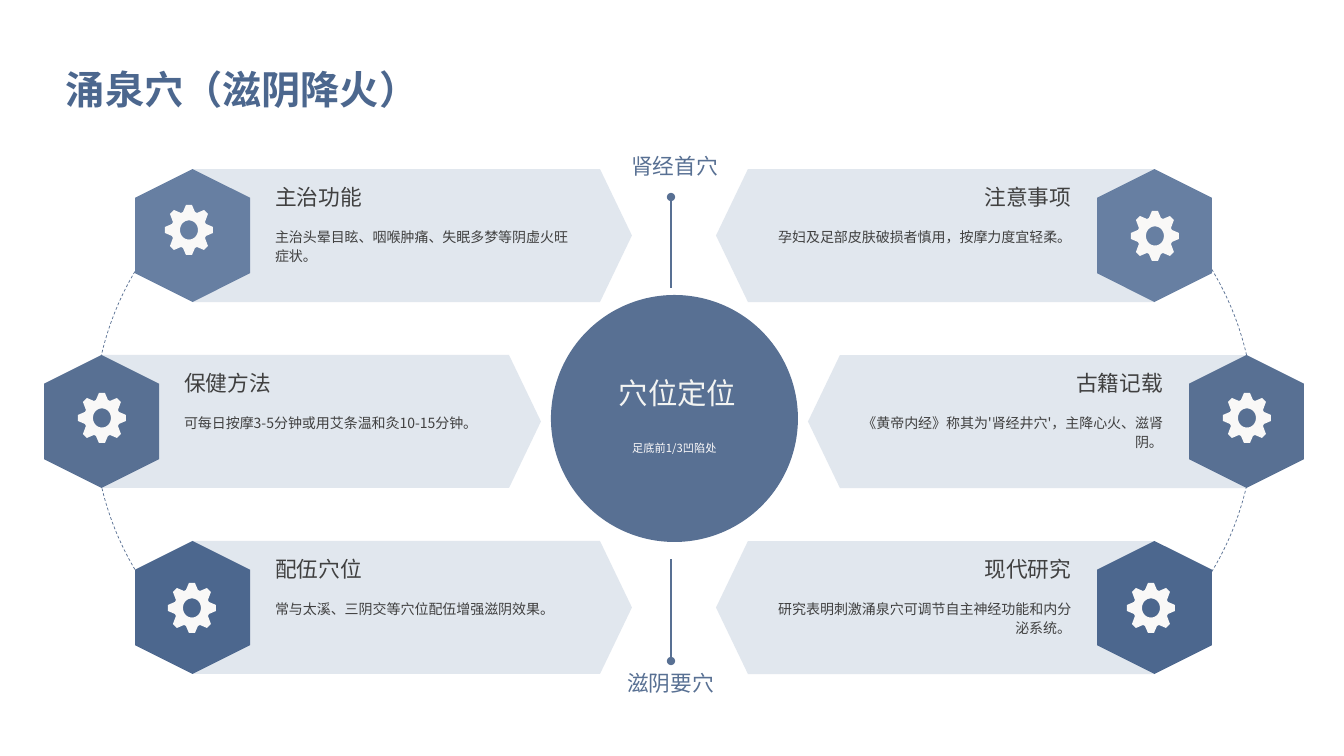
import math

import lxml.etree
import pptx
import pptx.dml.color
import pptx.enum.dml
import pptx.enum.shapes
import pptx.enum.text
import pptx.oxml.ns
import pptx.util

PX = 914400 / 100.8
FONT = "Noto Sans CJK SC"
SHAPE = pptx.enum.shapes.MSO_SHAPE
ALIGN = pptx.enum.text.PP_ALIGN
LEFT, CENTER, RIGHT = ALIGN.LEFT, ALIGN.CENTER, ALIGN.RIGHT
rgb = pptx.dml.color.RGBColor.from_string
qn = pptx.oxml.ns.qn

prs = pptx.Presentation()
prs.slide_width, prs.slide_height = round(1344 * PX), round(756 * PX)
s = prs.slides.add_slide(prs.slide_layouts[5])


def add_shape(kind, box, color):
    sp = s.shapes.add_shape(kind, *[round(v * PX) for v in box])
    sp.shadow.inherit = False
    sp.fill.solid()
    sp.fill.fore_color.rgb = rgb(color)
    sp.line.fill.background()
    return sp


def write(sp, box, text, size, color, align, spacing, bold=False, insets=(0, 0, 0, 0)):
    sp.left, sp.top, sp.width, sp.height = [round(v * PX) for v in box]
    tf = sp.text_frame
    tf.word_wrap = True
    tf.margin_left, tf.margin_top, tf.margin_right, tf.margin_bottom = [round(v * PX) for v in insets]
    p = tf.paragraphs[0]
    p.alignment, p.line_spacing = align, spacing
    r = p.add_run()
    r.text = text
    for name, value in {"size": pptx.util.Pt(size), "name": FONT, "bold": bold}.items():
        setattr(r.font, name, value)
    r.font.color.rgb = rgb(color)
    lxml.etree.SubElement(r.font._element, qn("a:ea")).set("typeface", FONT)
    return tf


tf = write(s.shapes.title, (52, 29, 1239, 101), "涌泉穴（滋阴降火）", 28, "4C678E", LEFT, 1.4,
           True, (14, 14, 6, 14))
tf.vertical_anchor = pptx.enum.text.MSO_ANCHOR.MIDDLE
tf.auto_size = pptx.enum.text.MSO_AUTO_SIZE.NONE

add_shape(SHAPE.OVAL, (551, 295, 247, 247), "587093")

for x, start, end in [(671, 188.42, 26.11), (94, 81.89, 135.58)]:
    sp = add_shape(SHAPE.ARC, (x, 129, 583, 583), "FFFFFF")
    sp.fill.background()
    sp.adjustments[0], sp.adjustments[1] = start, end
    sp.line.color.rgb = rgb("587093")
    sp.line.width = pptx.util.Pt(0.5)
    sp.line.dash_style = pptx.enum.dml.MSO_LINE.DASH

quarter = [(24, -3), (17, -6), (16, -8), (19, -16), (15, -20), (8, -17), (6, -18), (3, -25)]
upper = quarter + [(-x, y) for x, y in reversed(quarter)]
rim = upper + [(x, -y) for x, y in reversed(upper)]
turns = [math.tau * i / 32 for i in range(32)]
hole = [(9 * math.cos(a), 9.6 * math.sin(a)) for a in turns]

cards = [
    (0, LEFT, "主治功能", "主治头晕目眩、咽喉肿痛、失眠多梦等阴虚火旺症状。", 193, 303, (189, 230)),
    (0, RIGHT, "注意事项", "孕妇及足部皮肤破损者慎用，按摩力度宜轻柔。", 1155, 303, (1155, 236)),
    (1, LEFT, "保健方法", "可每日按摩3-5分钟或用艾条温和灸10-15分钟。", 102, 303, (102, 418)),
    (1, RIGHT, "古籍记载", "《黄帝内经》称其为'肾经井穴'，主降心火、滋肾阴。", 1247, 314, (1247, 418)),
    (2, LEFT, "配伍穴位", "常与太溪、三阴交等穴位配伍增强滋阴效果。", 193, 303, (192, 608)),
    (2, RIGHT, "现代研究", "研究表明刺激涌泉穴可调节自主神经功能和内分泌系统。", 1155, 303, (1151, 608)),
]
for row, align, heading, body, hex_x, text_w, gear in cards:
    y = 169 + 186 * row
    on_right = align == RIGHT
    plate = add_shape(SHAPE.PENTAGON, (hex_x - 439 * on_right, y, 439, 133), "E1E7EE")
    plate.adjustments[0] = 0.24
    plate.rotation = 180 * on_right
    hexagon = add_shape(SHAPE.HEXAGON, (hex_x - 67, y + 9, 133, 115), ["677FA2", "587093", "4C678E"][row])
    hexagon.rotation = 90
    text_x = hex_x - 84 - text_w if on_right else hex_x + 82
    for text, dy, h, size, spacing in [(body, 57, 59, 10, 1.14), (heading, 20, 26, 15.5, 0.8)]:
        write(s.shapes.add_textbox(0, 0, 0, 0), (text_x, y + dy, text_w, h), text, size, "404040", align, spacing)

    fb = s.shapes.build_freeform(rim[0][0] * 10, rim[0][1] * 10, PX / 10)
    fb.add_line_segments([(x * 10, y * 10) for x, y in rim[1:]])
    fb.move_to(hole[0][0] * 10, hole[0][1] * 10)
    fb.add_line_segments([(x * 10, y * 10) for x, y in hole[1:]])
    sp = fb.convert_to_shape(*[round(v * PX) for v in gear])
    sp.shadow.inherit = False
    sp.fill.solid()
    sp.fill.fore_color.rgb = rgb("F9F8F7")
    sp.line.fill.background()

for y1, y2 in [(197, 288), (661, 559)]:
    cn = s.shapes.add_connector(pptx.enum.shapes.MSO_CONNECTOR.STRAIGHT,
                                *[round(v * PX) for v in (671, y1, 671, y2)])
    cn.line.color.rgb = rgb("587093")
    cn.line.width = pptx.util.Pt(1)
    lxml.etree.SubElement(cn.line._get_or_add_ln(), qn("a:headEnd")).set("type", "oval")
    lxml.etree.SubElement(cn._element.spPr, qn("a:effectLst"))

for text, box, size, color, spacing in [
    ("肾经首穴", (551, 158, 247, 26), 15.5, "587093", 0.8),
    ("穴位定位", (569, 382, 217, 35), 21, "F3F4F2", 0.8),
    ("足底前1/3凹陷处", (592, 439, 165, 38), 8, "FDFBFB", 1.2),
    ("滋阴要穴", (547, 675, 247, 26), 15.5, "587093", 0.8),
]:
    write(s.shapes.add_textbox(0, 0, 0, 0), box, text, size, color, CENTER, spacing)

prs.save("out.pptx")
